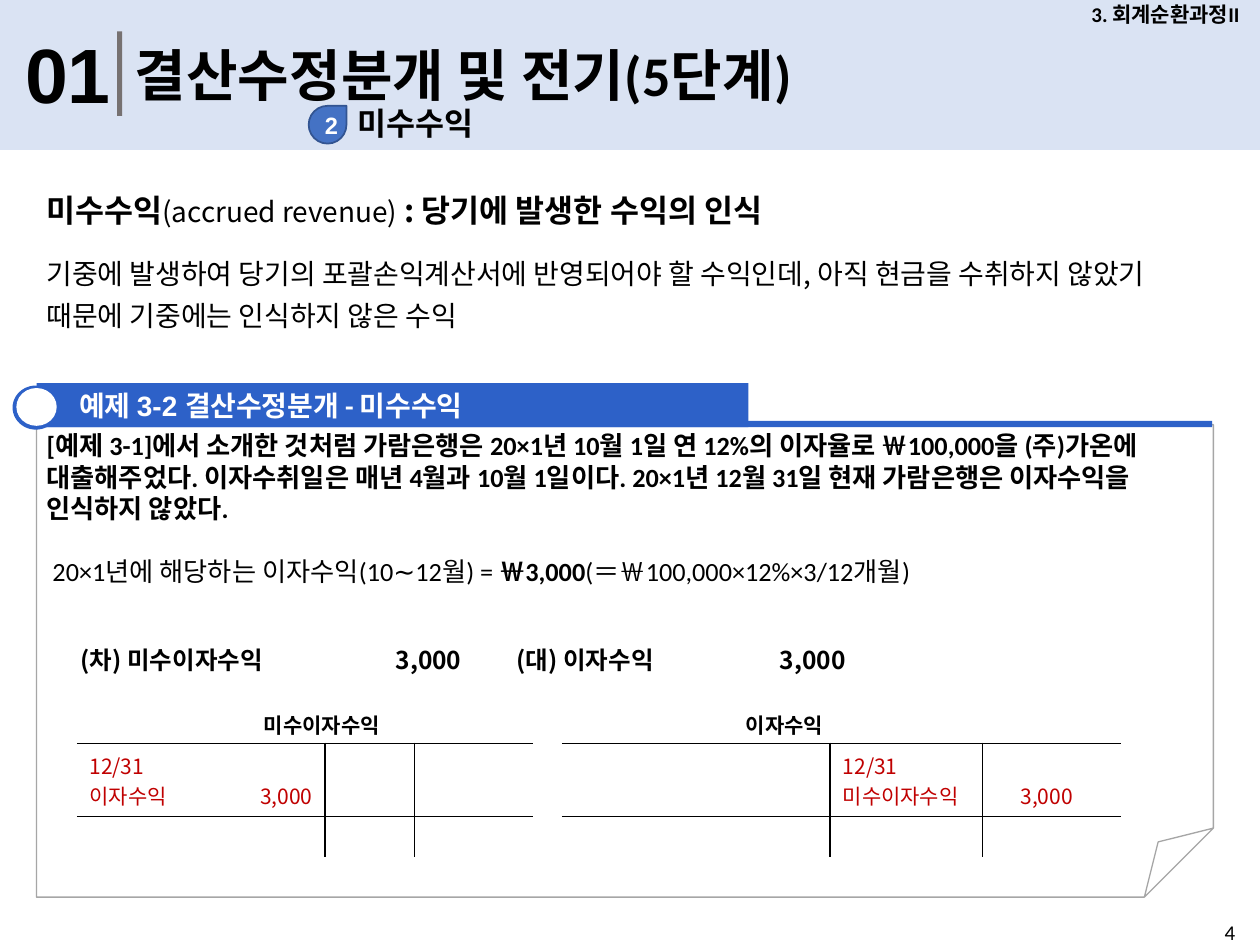
from dataclasses import dataclass

from lxml.etree import SubElement
from pptx import Presentation
from pptx.dml.color import RGBColor
from pptx.enum.shapes import MSO_SHAPE
from pptx.enum.text import MSO_ANCHOR, PP_ALIGN
from pptx.oxml.ns import qn
from pptx.util import Inches, Pt

BLACK = RGBColor(0x00, 0x00, 0x00)
WHITE = RGBColor(0xFF, 0xFF, 0xFF)
PALE_BLUE = RGBColor(0xDA, 0xE3, 0xF3)
GRAY = RGBColor(0x76, 0x71, 0x71)
PAGE_EDGE = RGBColor(0xA6, 0xA6, 0xA6)
BADGE_BLUE = RGBColor(0x44, 0x72, 0xC4)
BADGE_EDGE = RGBColor(0x32, 0x54, 0x91)
BANNER_BLUE = RGBColor(0x2D, 0x61, 0xC8)
RED = RGBColor(0xC0, 0x00, 0x00)
CALIBRI, ARIAL, NOTO = "Calibri", "Arial", "Noto Sans CJK KR"
TIGHT = (0.08, 0.04, 0.08, 0.04)
NORMAL = (0.1, 0.05, 0.1, 0.05)
NO_STYLE = "{2D5ABB26-0587-4C30-8999-92F81FD0307C}"


@dataclass
class Span:
    text: str
    size: float
    font: str = CALIBRI
    bold: bool = True
    color: RGBColor = BLACK


@dataclass
class Para:
    spans: list[Span]
    align: PP_ALIGN = PP_ALIGN.LEFT
    before: float = 0
    line: float | None = None
    tabs: tuple[float, ...] = ()


@dataclass
class Entry:
    """Text of one ledger cell."""
    row: int
    column: int
    lines: list[str]
    color: RGBColor = RED
    bold: bool = False
    align: PP_ALIGN = PP_ALIGN.LEFT
    insets: tuple[float, float, float, float] = NORMAL
    anchor: MSO_ANCHOR = MSO_ANCHOR.MIDDLE


def write(frame, paras: list[Para]) -> None:
    for index, item in enumerate(paras):
        para = frame.paragraphs[0] if index == 0 else frame.add_paragraph()
        para.alignment = item.align
        if item.before:
            para.space_before = Pt(item.before)
        if item.line:
            para.line_spacing = Pt(item.line)
        if item.tabs:
            tab_list = SubElement(para._p.get_or_add_pPr(), qn("a:tabLst"))
            for position in item.tabs:
                SubElement(tab_list, qn("a:tab"), pos=str(Inches(position)), algn="l")
        for span in item.spans:
            run = para.add_run()
            run.text = span.text
            run.font.size = Pt(span.size)
            run.font.name = span.font
            run.font.bold = span.bold
            run.font.color.rgb = span.color
            SubElement(run._r.get_or_add_rPr(), qn("a:ea"), typeface=span.font)


def set_margins(target, insets: tuple[float, float, float, float]) -> None:
    (target.margin_left, target.margin_top,
     target.margin_right, target.margin_bottom) = map(Inches, insets)


def fill_frame(frame, paras, insets=NORMAL, anchor=MSO_ANCHOR.TOP, wrap=True) -> None:
    set_margins(frame, insets)
    frame.vertical_anchor = anchor
    frame.word_wrap = wrap
    write(frame, paras)


def add_text(page, at: tuple[float, ...], paras: list[Para], **options) -> None:
    box = page.shapes.add_textbox(*map(Inches, at))
    fill_frame(box.text_frame, paras, **options)


def add_figure(page, kind: MSO_SHAPE, at: tuple[float, ...], fill: RGBColor | None,
               line: RGBColor | None = None, width: float = 1):
    figure = page.shapes.add_shape(kind, *map(Inches, at))
    figure.shadow.inherit = False
    if fill is None:
        figure.fill.background()
    else:
        figure.fill.solid()
        figure.fill.fore_color.rgb = fill
    if line is None:
        figure.line.fill.background()
    else:
        figure.line.color.rgb = line
        figure.line.width = Pt(width)
    return figure


def add_border(cell, side: str) -> None:
    edge = SubElement(cell._tc.get_or_add_tcPr(), qn(f"a:ln{side}"), w=str(Pt(1)))
    SubElement(SubElement(edge, qn("a:solidFill")), qn("a:srgbClr"), val=str(BLACK))


def add_ledgers(page, entries: list[Entry]) -> None:
    """Two T accounts in one table, with an empty column between them."""
    widths = (1.1, 0.87, 0.71, 0.94, 0.23, 1.14, 0.99, 1.21, 1.1)
    heights = (0.3, 0.58, 0.32)
    gap_column, stems = 4, (1, 6)
    table = page.shapes.add_table(len(heights), len(widths), Inches(0.61), Inches(5.6),
                                  Inches(sum(widths)), Inches(sum(heights))).table
    table.first_row = table.horz_banding = False
    table._tbl.tblPr.find(qn("a:tableStyleId")).text = NO_STYLE
    for column, width in zip(table.columns, widths):
        column.width = Inches(width)
    for row, height in zip(table.rows, heights):
        row.height = Inches(height)
    for first in (0, gap_column + 1):
        table.cell(0, first).merge(table.cell(0, first + 3))

    filled = {(entry.row, entry.column): entry for entry in entries}
    for row in range(len(heights)):
        for column in range(len(widths)):
            cell = table.cell(row, column)
            sides = {"L": row > 0 and column - 1 in stems,
                     "R": row > 0 and column in stems,
                     "T": row == 1 and column != gap_column,
                     "B": row == 0 and column != gap_column}
            for side in (name for name, drawn in sides.items() if drawn):
                add_border(cell, side)
            cell.fill.background()
            entry = filled.get((row, column))
            if entry is None:
                set_margins(cell, (0, 0, 0, 0))
                SubElement(cell.text_frame.paragraphs[0]._p, qn("a:endParaRPr"), sz="1200")
                continue
            set_margins(cell, entry.insets)
            cell.vertical_anchor = entry.anchor
            write(cell.text_frame, [
                Para([Span(line, 12, NOTO, entry.bold, entry.color)], entry.align)
                for line in entry.lines])


def add_header(page) -> None:
    add_figure(page, MSO_SHAPE.RECTANGLE, (0, 0, 10, 1.19), PALE_BLUE)
    add_text(page, (0.1, 0.16, 0.91, 0.84), [Para([Span("01", 44, ARIAL)])], wrap=False)
    add_figure(page, MSO_SHAPE.RECTANGLE, (0.93, 0.25, 0.04, 0.67), GRAY)
    add_text(page, (0.97, 0.27, 6.42, 0.64), [Para([Span("결산수정분개 및 전기(5단계)", 32)])])
    add_text(page, (2.74, 0.78, 3.74, 0.4), [Para([Span("미수수익", 18)])])
    badge = add_figure(page, MSO_SHAPE.TEAR, (2.45, 0.84, 0.3, 0.3), BADGE_BLUE, BADGE_EDGE)
    fill_frame(badge.text_frame,
               [Para([Span("2", 13.5, ARIAL, color=WHITE)], PP_ALIGN.CENTER)],
               insets=(0.06, 0, 0, 0), anchor=MSO_ANCHOR.MIDDLE, wrap=False)
    add_text(page, (8.5, 0, 1.5, 0.23), [Para([Span("3. 회계순환과정II", 12)], PP_ALIGN.CENTER)],
             anchor=MSO_ANCHOR.MIDDLE, wrap=False)


def add_definition(page) -> None:
    add_text(page, (0.29, 1.75, 9.26, 1.11), [Para([Span(
        "기중에 발생하여 당기의 포괄손익계산서에 반영되어야 할 수익인데, "
        "아직 현금을 수취하지 않았기 때문에 기중에는 인식하지 않은 수익",
        16, NOTO, False)], line=24)], insets=TIGHT, anchor=MSO_ANCHOR.MIDDLE)
    add_text(page, (0.29, 1.48, 7.22, 0.36), [Para([
        Span("미수수익", 18, NOTO), Span("(accrued revenue)", 16, NOTO, False),
        Span(" : 당기에 발생한 수익의 인식", 18, NOTO)])], insets=TIGHT)


def add_example(page) -> None:
    sheet = add_figure(page, MSO_SHAPE.FOLDED_CORNER, (0.29, 3.37, 9.34, 3.75),
                       None, PAGE_EDGE, 0.75)
    guides = sheet._element.spPr.find(qn("a:prstGeom")).get_or_add_avLst()
    SubElement(guides, qn("a:gd"), name="adj", fmla="val 14600")
    fill_frame(sheet.text_frame, [
        Para([Span("[예제 3-1]에서 소개한 것처럼 가람은행은 20×1년 10월 1일 연 12%의 이자율로 "
                   "￦100,000을 (주)가온에 대출해주었다. 이자수취일은 매년 4월과 10월 1일이다. "
                   "20×1년 12월 31일 현재 가람은행은 이자수익을 인식하지 않았다.", 15)]),
        Para([Span(" 20×1년에 해당하는 이자수익(10∼12월) = ", 15, bold=False), Span("￦3,000", 15),
              Span("(＝￦100,000×12%×3/12개월)", 15, bold=False)], before=18),
        Para([Span("\t(차) 미수이자수익\t3,000\t(대) 이자수익\t3,000", 14, NOTO)],
             before=33, tabs=(0.27, 2.77, 3.73, 5.82))], insets=TIGHT)
    add_figure(page, MSO_SHAPE.RECTANGLE, (0.29, 3.34, 9.33, 0.05), BANNER_BLUE)
    add_figure(page, MSO_SHAPE.OVAL, (0.1, 3.06, 0.37, 0.35), BANNER_BLUE)
    banner = add_figure(page, MSO_SHAPE.RECTANGLE, (0.29, 3.04, 5.65, 0.35), BANNER_BLUE)
    fill_frame(banner.text_frame, [Para([
        Span("예제 ", 16, color=WHITE), Span("3-2 ", 16, ARIAL, color=WHITE),
        Span("결산수정분개 - 미수수익", 16, color=WHITE)])],
        insets=(0.34, 0.05, 0.1, 0.05), anchor=MSO_ANCHOR.MIDDLE)
    add_figure(page, MSO_SHAPE.OVAL, (0.13, 3.08, 0.32, 0.3), WHITE)


deck = Presentation()
deck.slide_width, deck.slide_height = Inches(10), Inches(7.5)
page = deck.slides.add_slide(deck.slide_layouts[6])
add_header(page)
add_text(page, (9.62, 7.25, 0.38, 0.25), [Para([Span("4", 12, bold=False)])])
add_definition(page)
add_example(page)
add_ledgers(page, [
    Entry(0, 0, ["미수이자수익"], BLACK, True, PP_ALIGN.CENTER, (0.37, 0.03, 0.1, 0.03)),
    Entry(0, 5, ["이자수익"], BLACK, True, insets=(1.46, 0.03, 0.1, 0.03)),
    Entry(1, 0, ["12/31", "이자수익"]),
    Entry(1, 1, ["3,000"], align=PP_ALIGN.RIGHT, anchor=MSO_ANCHOR.BOTTOM),
    Entry(1, 7, ["12/31", "미수이자수익"]),
    Entry(1, 8, ["3,000"], insets=(0.3, 0.05, 0.1, 0.05), anchor=MSO_ANCHOR.BOTTOM)])
deck.save("out.pptx")
